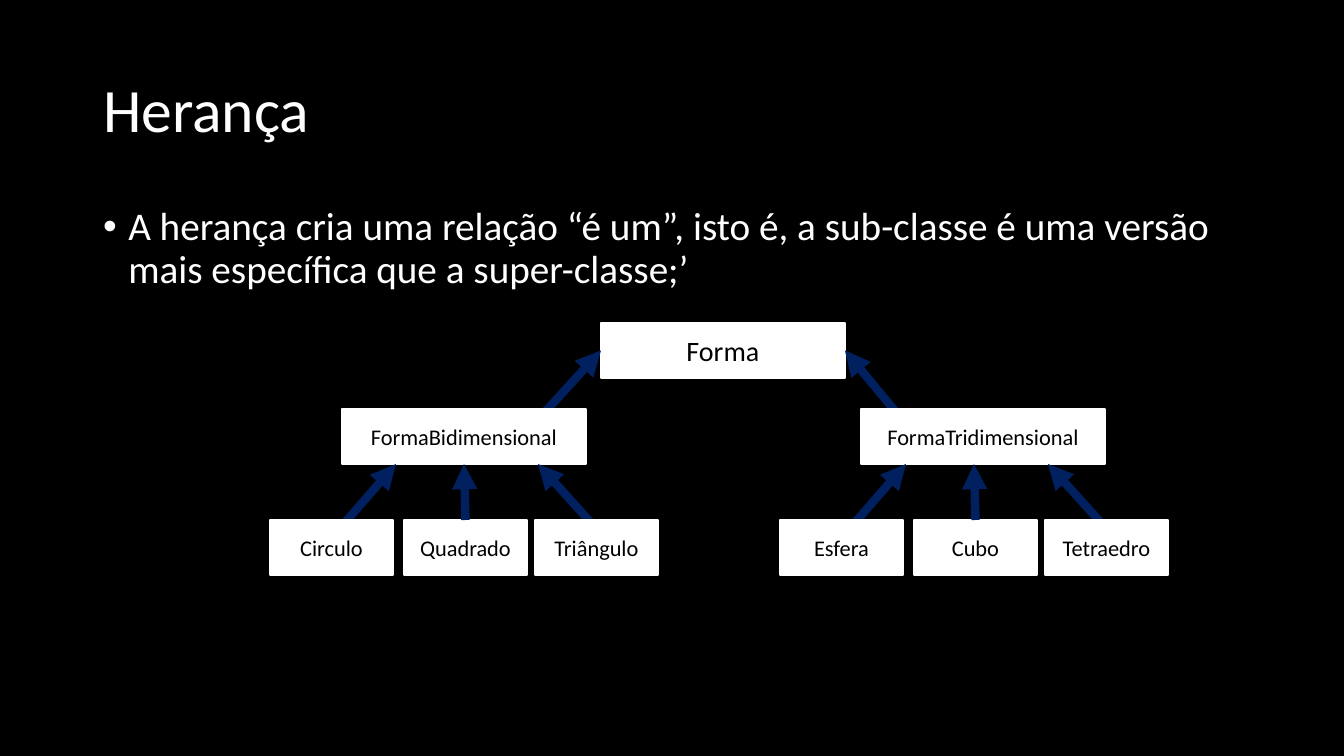
from lxml.etree import SubElement
from pptx import Presentation
from pptx.dml.color import RGBColor
from pptx.enum.shapes import MSO_CONNECTOR as Connector, MSO_SHAPE as Shape
from pptx.enum.text import MSO_ANCHOR as Anchor, PP_ALIGN as Align
from pptx.oxml.ns import qn
from pptx.util import Emu, Pt

BLACK, WHITE, NAVY = "000000", "FFFFFF", "002060"
BOX_HEIGHT, CLASS_WIDTH, LEAF_WIDTH = 55, 244, 123
PARENT_TOP, LEAF_TOP = 409, 520
LEAF_OFFSETS = (0, 134, 265)


def px(length):
    """Turn pixels into EMU."""
    return Emu(round(length * 914400 / 100.8))


def paint(color_holder, color):
    """Give a fill or a font a hex colour."""
    if hasattr(color_holder, "solid"):
        color_holder.solid()
        color_holder = color_holder.fore_color
    else:
        color_holder = color_holder.color
    color_holder.rgb = RGBColor.from_string(color)


def write(shape, text, size, color, align, anchor):
    """Set the text of a shape and format it."""
    frame = shape.text_frame
    frame.text = text
    frame.word_wrap = True
    frame.vertical_anchor = anchor
    paragraph = frame.paragraphs[0]
    paragraph.alignment = align
    font = paragraph.runs[0].font
    font.name, font.size = "Calibri", Pt(size)
    paint(font, color)
    return paragraph


def place(shape, left, top, width, height):
    """Move and size a placeholder."""
    shape.left, shape.top = px(left), px(top)
    shape.width, shape.height = px(width), px(height)


def add_title(slide, text):
    """Fill the title placeholder."""
    title = slide.shapes.title
    place(title, 93, 40, 1159, 146)
    paragraph = write(title, text, 44, WHITE, Align.LEFT, Anchor.MIDDLE)
    paragraph.line_spacing = 0.9


def add_bullet(slide, text):
    """Fill the body placeholder with one bullet."""
    body = slide.placeholders[1]
    place(body, 93, 202, 1159, 480)
    paragraph = write(body, text, 28, WHITE, Align.LEFT, Anchor.TOP)
    paragraph.line_spacing, paragraph.space_before = 0.9, Pt(10)
    properties = paragraph._p.get_or_add_pPr()
    properties.set("marL", "228600")
    properties.set("indent", "-228600")
    SubElement(properties, qn("a:buFont")).set("typeface", "Arial")
    SubElement(properties, qn("a:buChar")).set("char", "•")


def add_class(slide, name, left, top, width, size=16):
    """Draw a class as a white box."""
    box = slide.shapes.add_shape(
        Shape.RECTANGLE, px(left), px(top), px(width), px(BOX_HEIGHT))
    box.shadow.inherit = False
    paint(box.fill, WHITE)
    paint(box.line.fill, WHITE)
    box.line.width = Pt(1)
    write(box, name, size, BLACK, Align.CENTER, Anchor.MIDDLE)
    return box


def add_arrow(slide, start, end, begin_join=None, end_join=None):
    """Draw an arrow, joined to a (box, side) where given."""
    arrow = slide.shapes.add_connector(
        Connector.STRAIGHT, *(px(value) for value in (*start, *end)))
    if begin_join:
        arrow.begin_connect(*begin_join)
    if end_join:
        arrow.end_connect(*end_join)
    paint(arrow.line.fill, NAVY)
    arrow.line.width = Pt(6)
    SubElement(arrow.line._get_or_add_ln(), qn("a:tailEnd")).set("type", "triangle")
    SubElement(arrow._element.spPr, qn("a:effectLst"))


def add_family(slide, parent_name, parent_left, leaf_names, left, centred):
    """Draw a class with its three sub-classes."""
    parent = add_class(slide, parent_name, parent_left, PARENT_TOP, CLASS_WIDTH)
    parent_bottom = PARENT_TOP + BOX_HEIGHT
    for start, end in ((72, 126), (324, 268)):
        add_arrow(slide, (left + start, LEAF_TOP + 6), (left + end, parent_bottom))
    leaves = [add_class(slide, name, left + offset, LEAF_TOP, LEAF_WIDTH)
              for name, offset in zip(leaf_names, LEAF_OFFSETS)]
    add_arrow(slide, (left + 196, LEAF_TOP), (left + 194, parent_bottom),
              (leaves[1], 0), (parent, 2) if centred else None)


def main():
    """Build the inheritance slide."""
    presentation = Presentation()
    presentation.slide_width, presentation.slide_height = px(1344), px(756)
    slide = presentation.slides.add_slide(presentation.slide_layouts[1])
    paint(slide.background.fill, BLACK)
    add_title(slide, "Herança")
    add_bullet(slide, "A herança cria uma relação “é um”, isto é, a sub-classe "
                      "é uma versão mais específica que a super-classe;’")
    root = add_class(slide, "Forma", 601, 323, CLASS_WIDTH, 20)
    add_arrow(slide, (546, 411), (601, 351), end_join=(root, 1))
    add_arrow(slide, (900, 417), (845, 351), end_join=(root, 3))
    add_family(slide, "FormaBidimensional", 342,
               ("Circulo", "Quadrado", "Triângulo"), 270, True)
    add_family(slide, "FormaTridimensional", 861,
               ("Esfera", "Cubo", "Tetraedro"), 780, False)
    presentation.save("out.pptx")


if __name__ == "__main__":
    main()
